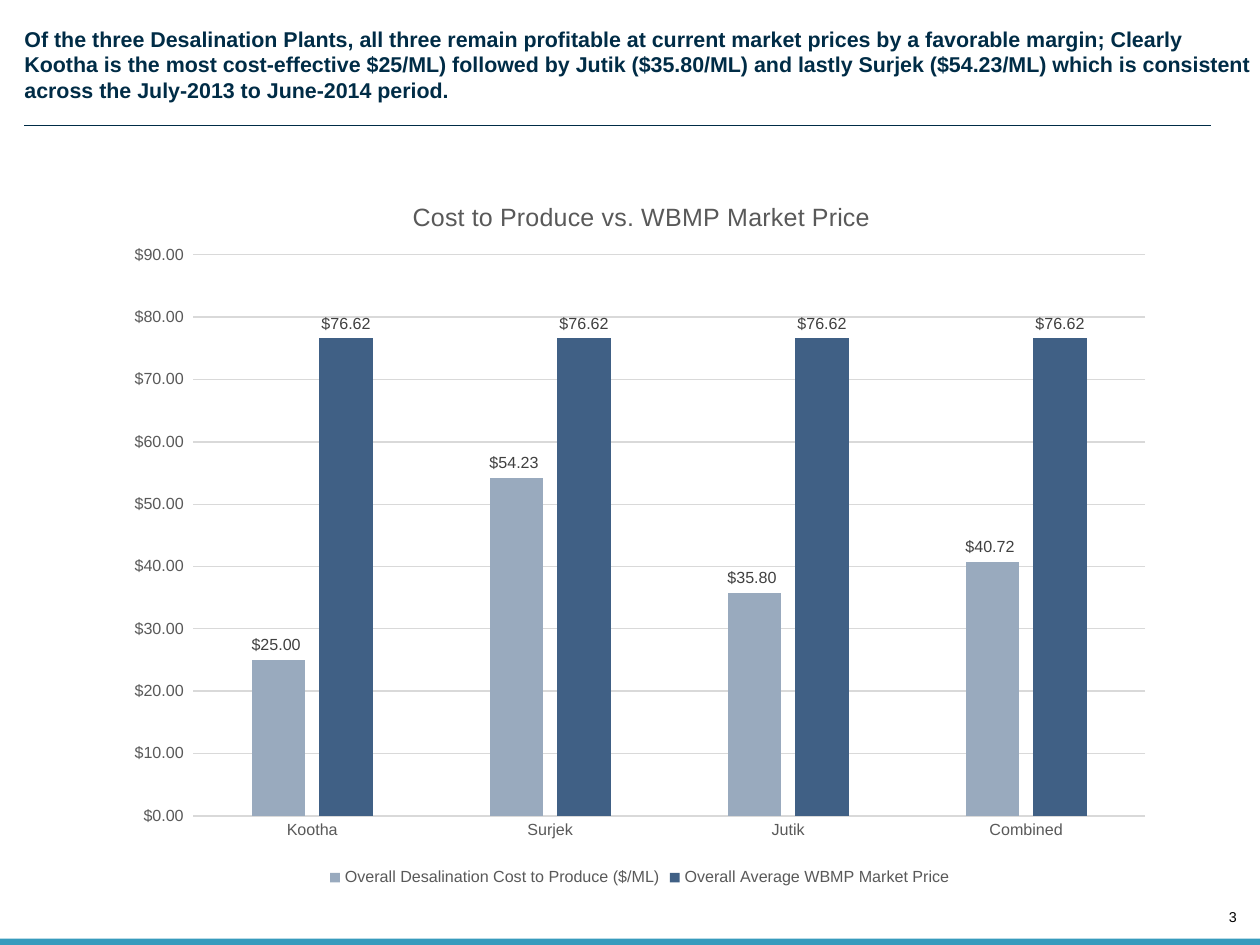
"""Build the slide that sets desalination cost against market price."""
import pptx
import pptx.chart.data
import pptx.dml.color
import pptx.enum.chart
import pptx.enum.shapes
import pptx.enum.text
import pptx.oxml
import pptx.oxml.ns
import pptx.util

HEAD = ("Of the three Desalination Plants, all three remain profitable at current market prices "
        "by a favorable margin; Clearly Kootha is the most cost-effective $25/ML) followed by "
        "Jutik ($35.80/ML) and lastly Surjek ($54.23/ML) which is consistent across the "
        "July-2013 to June-2014 period.")
TITLE = "Cost to Produce vs. WBMP Market Price"
PLANTS = ["Kootha", "Surjek", "Jutik", "Combined"]
MONEY = '"$"#,##0.00_);[Red]\\("$"#,##0.00\\)'
PRICE = '"$"#,##0.00;[Red]\\-"$"#,##0.00'
SERIES = [
    ("Overall Desalination Cost to Produce ($/ML)", [25, 54.23, 35.8, 40.72], "99AABE", MONEY),
    ("Overall Average WBMP Market Price", [76.62] * 4, "406085", PRICE),
]
NAVY, TEAL, GREY, PALE = "002C46", "379BBD", "595959", "D9D9D9"
WIDE, HIGH = 705.6, 529.2
LEFT = 13.7
BAR = 3.6

Pt = pptx.util.Pt
qn = pptx.oxml.ns.qn
ALIGN = pptx.enum.text.PP_ALIGN
ANCHOR = pptx.enum.text.MSO_ANCHOR
KIND = pptx.enum.chart


def paint(color, code):
    color.rgb = pptx.dml.color.RGBColor.from_string(code)


def style(font, size, code, bold=False):
    font.name, font.size, font.bold = "Arial", Pt(size), bold
    paint(font.color, code)


def stroke(line, code):
    line.width = Pt(0.75)
    paint(line.color, code)


def write(slide, box, text, size, code, bold=False, align=ALIGN.LEFT, anchor=ANCHOR.TOP):
    frame = slide.shapes.add_textbox(*map(Pt, box)).text_frame
    frame.margin_left = frame.margin_right = frame.margin_top = frame.margin_bottom = 0
    frame.word_wrap, frame.vertical_anchor = True, anchor
    frame.text = text
    frame.paragraphs[0].alignment = align
    style(frame.paragraphs[0].runs[0].font, size, code, bold)


def place(parent, after, inner="", **spots):
    for old in parent.findall(qn("c:layout")):
        parent.remove(old)
    tags = inner + '<c:xMode val="edge"/><c:yMode val="edge"/>'
    tags += "".join(f'<c:{key} val="{val}"/>' for key, val in spots.items())
    space = pptx.oxml.ns.nsdecls("c")
    node = pptx.oxml.parse_xml(
        f"<c:layout {space}><c:manualLayout>{tags}</c:manualLayout></c:layout>")
    parent.insert(after, node)


def draw_chart(slide):
    data = pptx.chart.data.CategoryChartData()
    data.categories = PLANTS
    for name, vals, _, form in SERIES:
        data.add_series(name, vals, form)
    box = map(Pt, (63.4, 93.6, 589.7, 406))
    chart = slide.shapes.add_chart(KIND.XL_CHART_TYPE.COLUMN_CLUSTERED, *box, data).chart
    style(chart.font, 10, "000000")

    chart.has_title = True
    title = chart.chart_title
    title.text_frame.text = TITLE
    style(title.text_frame.paragraphs[0].runs[0].font, 14, GREY)
    title.include_in_layout = False
    place(title._element, 1, x=0.28, y=0.04)
    place(chart._chartSpace.chart.plotArea, 0, '<c:layoutTarget val="inner"/>',
          x=0.076, y=0.121, w=0.904, h=0.774)

    chart.has_legend = True
    chart.legend.position = KIND.XL_LEGEND_POSITION.BOTTOM
    chart.legend.include_in_layout = False
    style(chart.legend.font, 9, GREY)

    cat, val = chart.category_axis, chart.value_axis
    for axis in (cat, val):
        axis.major_tick_mark = axis.minor_tick_mark = KIND.XL_TICK_MARK.NONE
        style(axis.tick_labels.font, 9, GREY)
    stroke(cat.format.line, PALE)
    val.format.line.fill.background()
    val.minimum_scale, val.maximum_scale, val.major_unit = 0, 90, 10
    val.has_major_gridlines = True
    stroke(val.major_gridlines.format.line, PALE)
    val.tick_labels.number_format = MONEY
    val.tick_labels.number_format_is_linked = False

    plot = chart.plots[0]
    plot.gap_width, plot.overlap, plot.vary_by_categories = 219, -27, False
    for bars, (_, _, code, form) in zip(plot.series, SERIES):
        bars.format.fill.solid()
        paint(bars.format.fill.fore_color, code)
        labels = bars.data_labels
        labels.show_value = True
        labels.position = KIND.XL_LABEL_POSITION.OUTSIDE_END
        labels.number_format, labels.number_format_is_linked = form, False
        style(labels.font, 9, "404040")


def main():
    deck = pptx.Presentation()
    deck.slide_width, deck.slide_height = Pt(WIDE), Pt(HIGH)
    slide = deck.slides.add_slide(deck.slide_layouts[6])

    write(slide, (682.6, 509, 10, 9.4), "3", 8, "000000", align=ALIGN.RIGHT, anchor=ANCHOR.BOTTOM)
    strip = slide.shapes.add_shape(pptx.enum.shapes.MSO_SHAPE.RECTANGLE,
                                   *map(Pt, (0, HIGH - BAR, WIDE, BAR)))
    strip.shadow.inherit = False
    strip.fill.solid()
    paint(strip.fill.fore_color, TEAL)
    strip.line.fill.background()

    write(slide, (LEFT, 14.4, 688.3, 43.9), HEAD, 12, NAVY, bold=True)
    rule = slide.shapes.add_connector(pptx.enum.shapes.MSO_CONNECTOR.STRAIGHT,
                                      *map(Pt, (LEFT, 70.4, 678.2, 70.4)))
    stroke(rule.line, NAVY)
    rule._element.spPr.append(pptx.oxml.parse_xml(
        f"<a:effectLst {pptx.oxml.ns.nsdecls('a')}/>"))
    draw_chart(slide)
    deck.save("out.pptx")


if __name__ == "__main__":
    main()
